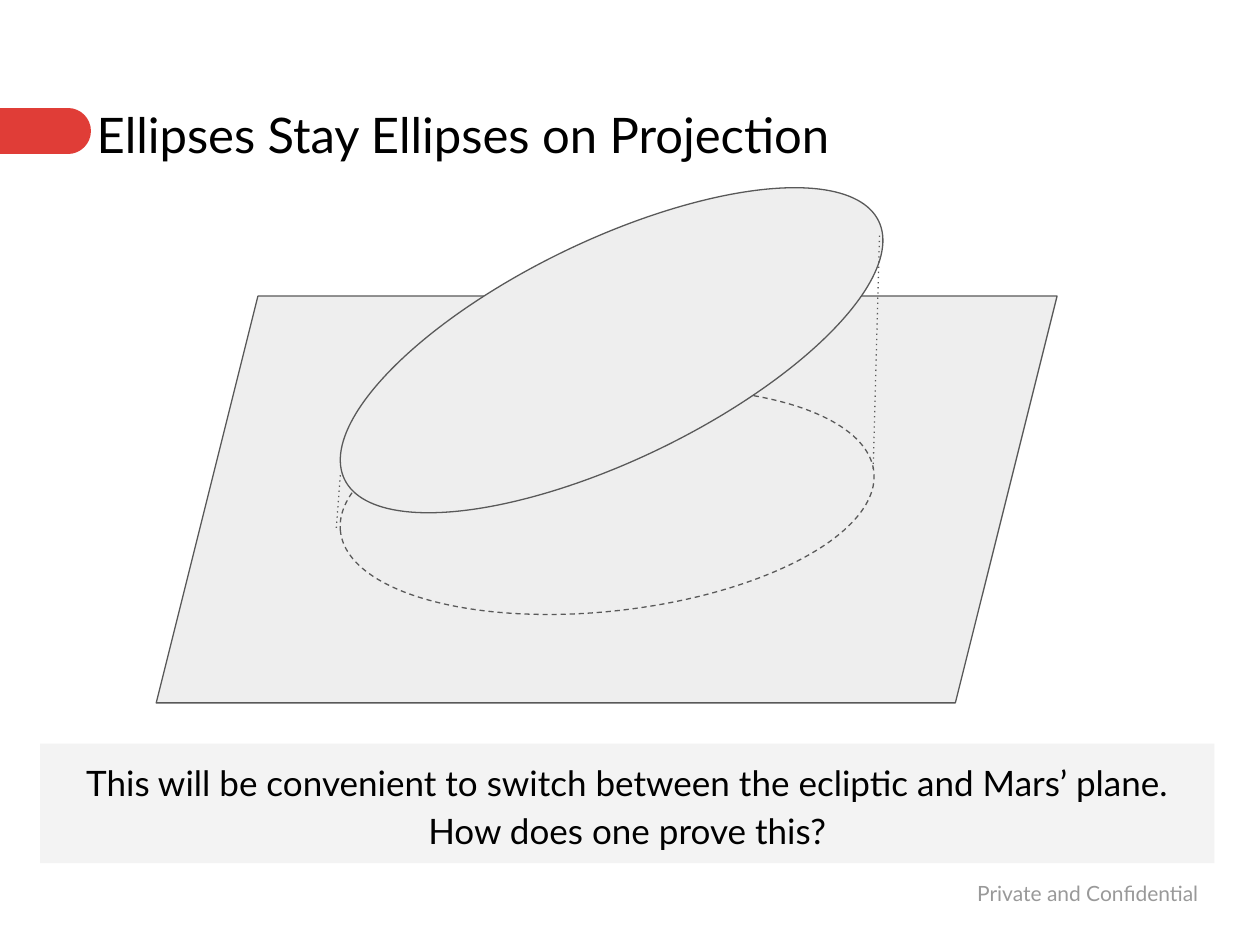
import lxml.etree
import pptx
import pptx.dml.color
import pptx.enum.shapes
import pptx.enum.text
import pptx.oxml.ns
import pptx.util

Cm = pptx.util.Cm
Pt = pptx.util.Pt
qn = pptx.oxml.ns.qn
SHAPES = pptx.enum.shapes.MSO_SHAPE
ALIGN = pptx.enum.text.PP_ALIGN
ANCHOR = pptx.enum.text.MSO_ANCHOR

COLORS = {
    "accent": "E03D37",
    "text": "000000",
    "muted": "999999",
    "band": "F3F3F3",
    "figure": "EEEEEE",
    "outline": "595959",
}
MARGINS = ("margin_left", "margin_top", "margin_right", "margin_bottom")


def rgb(name):
    return pptx.dml.color.RGBColor.from_string(COLORS[name])


def set_all(target, values):
    for name, value in values.items():
        setattr(target, name, value)


def place(box, left, top, width, height):
    set_all(box, {"left": Cm(left), "top": Cm(top),
                  "width": Cm(width), "height": Cm(height)})


def write(box, text, size, color, anchor, paragraph_format):
    frame = box.text_frame
    set_all(frame, {"word_wrap": True, "vertical_anchor": anchor,
                    "auto_size": pptx.enum.text.MSO_AUTO_SIZE.NONE})
    set_all(frame, dict.fromkeys(MARGINS, Cm(0.25)))
    para = frame.paragraphs[0]
    set_all(para, {"space_before": Pt(0), **paragraph_format})
    span = para.add_run()
    span.text = text
    set_all(span.font, {"name": "Lato", "size": Pt(size)})
    span.font.color.rgb = rgb(color)


def remove_bullet(para):
    properties = para._p.get_or_add_pPr()
    set_all_indents = {"marL": "0", "indent": "0"}
    for name, value in set_all_indents.items():
        properties.set(name, value)
    lxml.etree.SubElement(properties, qn("a:buNone"))


def style_line(line, color, width, dash=None):
    line.color.rgb = rgb(color)
    line.width = Pt(width)
    if dash:
        preset = lxml.etree.SubElement(line._ln, qn("a:prstDash"))
        preset.set("val", dash)


def add_figure(page, kind, left, top, width, height, rotation=0, dash=None):
    figure = page.shapes.add_shape(kind, Cm(left), Cm(top), Cm(width), Cm(height))
    figure.shadow.inherit = False
    figure.rotation = rotation
    figure.fill.solid()
    figure.fill.fore_color.rgb = rgb("figure")
    style_line(figure.line, "outline", 0.75, dash)
    return figure


def add_line(page, start, end, color, width, dash=None):
    connector = page.shapes.add_connector(
        pptx.enum.shapes.MSO_CONNECTOR.STRAIGHT,
        *(Cm(value) for value in (*start, *end)))
    style_line(connector.line, color, width, dash)
    lxml.etree.SubElement(connector._element.spPr, qn("a:effectLst"))
    return connector


def add_title(page, text):
    title = page.shapes.title
    place(title, 1.7, 1.85, 23.67, 2.11)
    write(title, text, 28, "text", ANCHOR.TOP, {"alignment": ALIGN.LEFT})


def add_caption(page, text):
    caption = page.placeholders[1]
    place(caption, 0.81, 14.99, 23.67, 2.41)
    caption.fill.solid()
    caption.fill.fore_color.rgb = rgb("band")
    remove_bullet(caption.text_frame.paragraphs[0])
    write(caption, text, 20, "text", ANCHOR.MIDDLE,
          {"alignment": ALIGN.CENTER, "line_spacing": 1.15})


def add_footer(page, text):
    footer = page.shapes.add_textbox(Cm(18.59), Cm(17.4), Cm(5.82), Cm(1.22))
    write(footer, text, 12, "muted", ANCHOR.MIDDLE, {"alignment": ALIGN.RIGHT})


def add_accent(page):
    accent = add_line(page, (-0.18, 2.64), (1.37, 2.64), "accent", 26.25)
    accent.line._ln.set("cap", "rnd")


def add_projection(page):
    """Draw a tilted ellipse above a plane, its shadow and the projecting lines."""
    plane = add_figure(page, SHAPES.PARALLELOGRAM, 3.15, 5.97, 18.16, 8.2)
    plane.adjustments[0] = 0.25
    add_figure(page, SHAPES.OVAL, 6.83, 7.9, 10.82, 4.42, 353.6, "dash")
    add_figure(page, SHAPES.OVAL, 6.35, 4.85, 11.96, 4.42, 334.2)
    for start, end in (((6.86, 9.58), (6.78, 10.64)),
                       ((17.73, 4.75), (17.6, 9.53))):
        add_line(page, start, end, "outline", 0.75, "dot")


def main():
    deck = pptx.Presentation()
    set_all(deck, {"slide_width": Cm(25.4), "slide_height": Cm(19.05)})
    page = deck.slides.add_slide(deck.slide_layouts[1])
    add_accent(page)
    add_footer(page, "Private and Confidential")
    add_title(page, "Ellipses Stay Ellipses on Projection")
    add_caption(page, "This will be convenient to switch between the ecliptic "
                      "and Mars’ plane. How does one prove this?")
    add_projection(page)
    deck.save("out.pptx")


if __name__ == "__main__":
    main()
